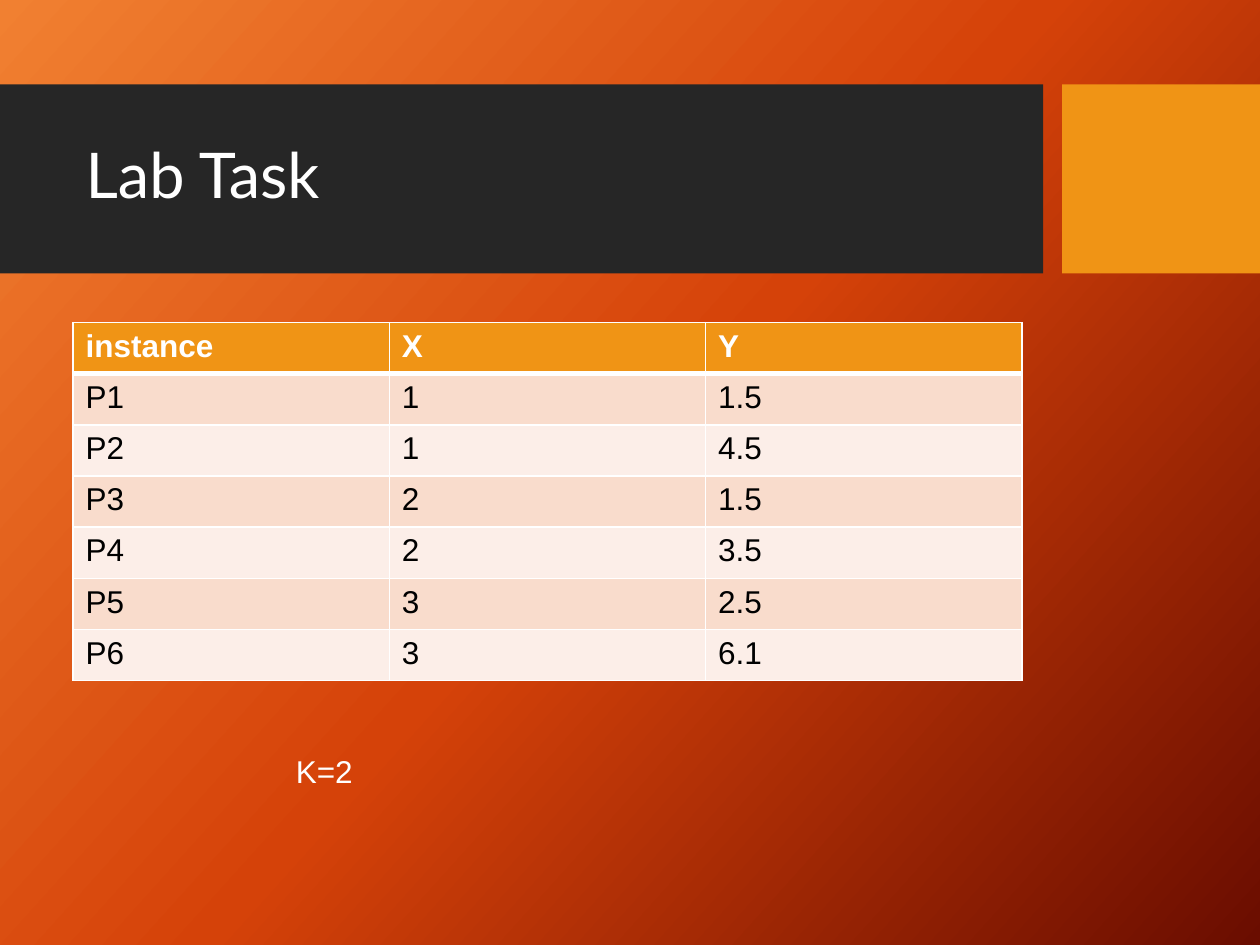
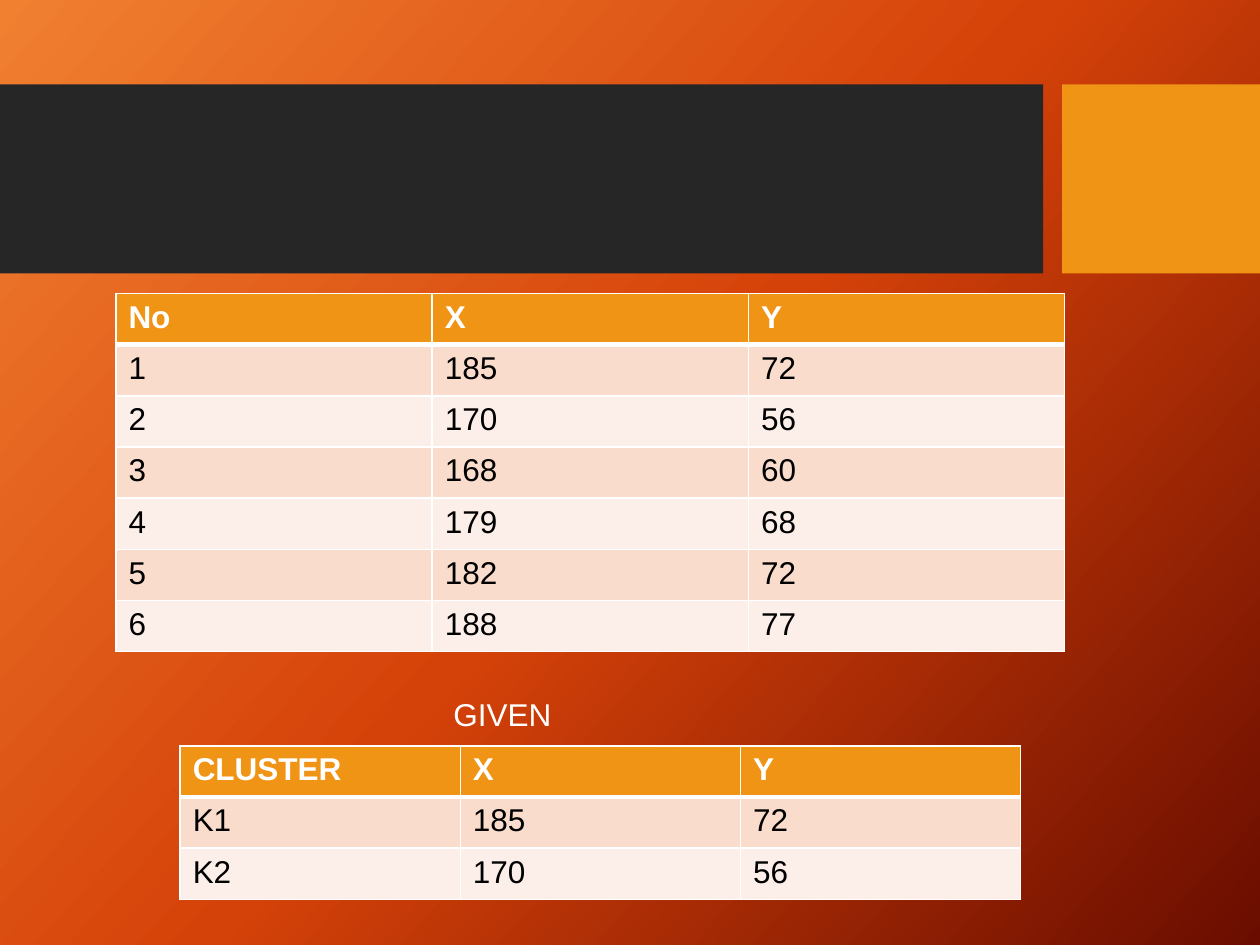
from copy import deepcopy

from lxml.etree import SubElement
from pptx import Presentation
from pptx.dml.color import RGBColor
from pptx.enum.shapes import MSO_SHAPE
from pptx.enum.text import MSO_ANCHOR, MSO_AUTO_SIZE, PP_ALIGN
from pptx.oxml.ns import qn
from pptx.util import Inches, Pt

WHITE = RGBColor(0xFF, 0xFF, 0xFF)
BLACK = RGBColor(0x00, 0x00, 0x00)
CHARCOAL = RGBColor(0x26, 0x26, 0x26)
AMBER = RGBColor(0xF0, 0x94, 0x15)
ROW_TINTS = (RGBColor(0xF9, 0xDC, 0xCC), RGBColor(0xFC, 0xEE, 0xE8))
GLOW = (RGBColor(0xF1, 0x80, 0x31), RGBColor(0xD5, 0x42, 0x09), RGBColor(0x6A, 0x0D, 0x00))
GLOW_ANGLE = 42

TITLE_FONT = {"name": "Lato", "size": Pt(36), "color": WHITE}
LABEL_FONT = {"name": "Arial", "size": Pt(18), "color": WHITE}
HEADER_FONT = {**LABEL_FONT, "bold": True}
CELL_FONT = {**LABEL_FONT, "color": BLACK, "bold": False}

# The slide is a grid of 100 columns and 75 rows.
COLUMNS, ROWS = 100, 75
TABLE_ROW = 4.06

prs = Presentation()
prs.slide_width, prs.slide_height = Inches(10), Inches(7.5)


def place(column, row, width, height):
    """Turn a box in grid units into slide lengths."""
    across, down = prs.slide_width / COLUMNS, prs.slide_height / ROWS
    return [round(n * unit) for n, unit in
            zip((column, row, width, height), (across, down, across, down))]


def style(font, looks):
    """Apply a dict of format values to a font."""
    for key, value in looks.items():
        if key == "color":
            font.color.rgb = value
        else:
            setattr(font, key, value)


def set_background(master):
    """Give the master its three-colour diagonal gradient."""
    fill = master.background.fill
    fill.gradient()
    stops = master.element.xpath("p:cSld/p:bg//a:gsLst")[0]
    stops.append(deepcopy(stops[0]))
    for number, (stop, color) in enumerate(zip(fill.gradient_stops, GLOW)):
        stop.color.rgb = color
        stop.position = number / 2
    fill.gradient_angle = 360 - GLOW_ANGLE


def set_bands(master, slide):
    """Draw the title band and its accent, and move them to the master."""
    bands = (((0, 6.7, 82.8, 15), CHARCOAL), ((84.3, 6.7, 15.7, 15), AMBER))
    for number, (box, color) in enumerate(bands):
        band = slide.shapes.add_shape(MSO_SHAPE.RECTANGLE, *place(*box))
        band.shadow.inherit = False
        band.fill.solid()
        band.fill.fore_color.rgb = color
        band.line.fill.background()
        band.element.xpath(".//p:cNvPr")[0].set("id", str(100 + number))
        master.shapes.element.insert(2 + number, band.element)


def add_title(slide, text, box):
    """Fill the title placeholder within the given box."""
    title = slide.shapes.title
    title.left, title.top, title.width, title.height = place(*box)
    title.text_frame.vertical_anchor = MSO_ANCHOR.MIDDLE
    heading = title.text_frame.paragraphs[0]
    heading.text = text
    heading.alignment = PP_ALIGN.LEFT
    heading.line_spacing = 0.9
    style(heading.runs[0].font, TITLE_FONT)


def add_label(slide, text, box):
    """Write a short unwrapped line beside a table."""
    label = slide.shapes.add_textbox(*place(*box)).text_frame
    label.word_wrap = False
    label.auto_size = MSO_AUTO_SIZE.SHAPE_TO_FIT_TEXT
    label.text = text
    style(label.paragraphs[0].runs[0].font, LABEL_FONT)


def set_borders(cell, widths):
    """Draw white cell borders, given points for each side."""
    properties = cell._tc.get_or_add_tcPr()
    for position, (side, width) in enumerate(widths.items()):
        edge = SubElement(properties, qn(f"a:ln{side}"), w=str(Pt(width)))
        SubElement(SubElement(edge, qn("a:solidFill")), qn("a:srgbClr"), val=str(WHITE))
        properties.insert(position, edge)


def add_data_table(slide, records, column, row, width):
    """Place a table with an amber header and tinted rows."""
    box = place(column, row, width, TABLE_ROW * len(records))
    table = slide.shapes.add_table(len(records), len(records[0]), *box).table
    for r, record in enumerate(records):
        for c, value in enumerate(record):
            cell = table.cell(r, c)
            cell.text = value
            cell.fill.solid()
            cell.fill.fore_color.rgb = ROW_TINTS[(r - 1) % 2] if r else AMBER
            style(cell.text_frame.paragraphs[0].runs[0].font,
                  CELL_FONT if r else HEADER_FONT)
            set_borders(cell, {"L": 1, "R": 1, "T": 3 if r == 1 else 1,
                               "B": 1 if r else 3})


def build_task_slide(slide):
    """Lab task: the points to group and the number of clusters."""
    points = [("instance", "X", "Y"), ("P1", "1", "1.5"), ("P2", "1", "4.5"),
              ("P3", "2", "1.5"), ("P4", "2", "3.5"), ("P5", "3", "2.5"),
              ("P6", "3", "6.1")]
    add_title(slide, "Lab Task", (5.8, 8.2, 75.4, 11.8))
    add_data_table(slide, points, 5.8, 25.6, 75.3)
    add_label(slide, "K=2", (22.5, 59.2, 6.6, 4))


def build_clusters_slide(slide):
    """Second data set with its given starting clusters."""
    points = [("No", "X", "Y"), ("1", "185", "72"), ("2", "170", "56"),
              ("3", "168", "60"), ("4", "179", "68"), ("5", "182", "72"),
              ("6", "188", "77")]
    clusters = [("CLUSTER", "X", "Y"), ("K1", "185", "72"), ("K2", "170", "56")]
    add_data_table(slide, points, 9.2, 23.3, 75.3)
    add_data_table(slide, clusters, 14.3, 59.2, 66.7)
    add_label(slide, "GIVEN", (35, 54.7, 9.9, 4))


TITLE_ONLY, BLANK = prs.slide_layouts[5], prs.slide_layouts[6]
task_slide = prs.slides.add_slide(TITLE_ONLY)
set_background(prs.slide_master)
set_bands(prs.slide_master, task_slide)
build_task_slide(task_slide)
build_clusters_slide(prs.slides.add_slide(BLANK))
prs.save("out.pptx")
